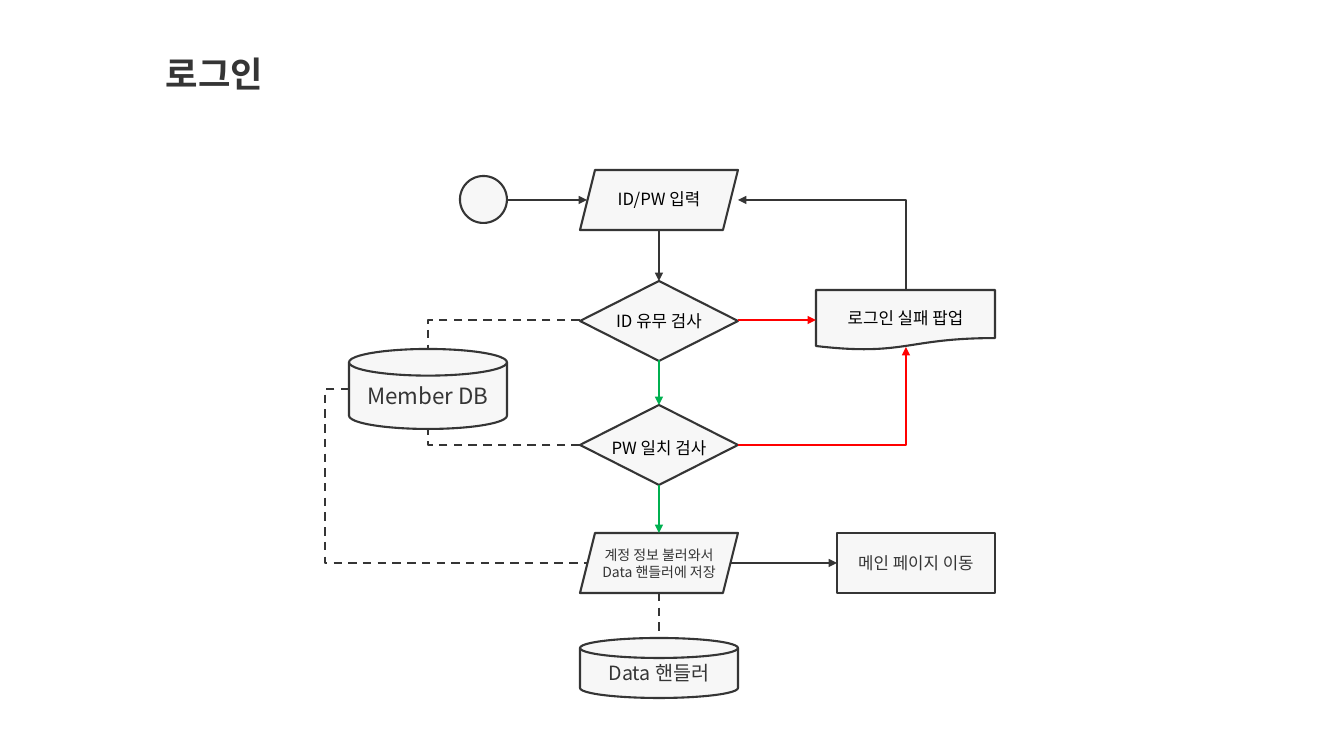
from dataclasses import dataclass

from lxml import etree
from pptx import Presentation
from pptx import util as u
from pptx.dml.color import RGBColor
from pptx.enum import dml, shapes, text
from pptx.oxml.ns import qn

EMU_PER_PX = 914400 / 100.8


@dataclass(frozen=True)
class Theme:
    font: str = "Noto Sans CJK KR"
    ink: str = "353535"
    black: str = "000000"
    panel: str = "F7F7F7"
    failure: str = "FF0000"
    success: str = "00B050"
    title_size: float = 25.2
    database_size: int = 16
    handler_size: int = 14
    step_size: int = 12
    detail_size: int = 10
    line_width: float = 1.5


THEME = Theme()
KIND = shapes.MSO_SHAPE
LEFT, WIDTH, CENTER, RIGHT = 580, 158, 659, 738
POPUP_CENTER, DATABASE_CENTER = 906, 428


def px(*values):
    return [u.Emu(round(value * EMU_PER_PX)) for value in values]


def color(value):
    return RGBColor.from_string(value)


def write(shape, lines, size, ink, align=text.PP_ALIGN.CENTER, bold=False, spacing=None):
    frame = shape.text_frame
    frame.word_wrap = True
    frame.vertical_anchor = text.MSO_ANCHOR.MIDDLE
    for index, line in enumerate(lines):
        paragraph = frame.add_paragraph() if index else frame.paragraphs[0]
        paragraph.alignment = align
        paragraph.line_spacing = spacing
        run = paragraph.add_run()
        run.text = line
        run.font.size = u.Pt(size)
        run.font.bold = bold
        run.font.name = THEME.font
        run.font.color.rgb = color(ink)
        east_asian = etree.SubElement(run.font._element, qn("a:ea"))
        east_asian.set("typeface", THEME.font)


def add_node(slide, kind, box):
    shape = slide.shapes.add_shape(kind, *px(*box))
    shape.shadow.inherit = False
    shape.fill.solid()
    shape.fill.fore_color.rgb = color(THEME.panel)
    shape.line.color.rgb = color(THEME.ink)
    shape.line.width = u.Pt(THEME.line_width)
    return shape


def add_label(slide, box, lines, size, ink, **style):
    label = slide.shapes.add_textbox(*px(*box))
    write(label, lines, size, ink, **style)


def add_link(slide, start, end, ink=THEME.ink, arrow="tailEnd", dashed=False,
             elbow=False):
    kind = shapes.MSO_CONNECTOR.ELBOW if elbow else shapes.MSO_CONNECTOR.STRAIGHT
    link = slide.shapes.add_connector(kind, *px(*start, *end))
    link.line.color.rgb = color(ink)
    link.line.width = u.Pt(THEME.line_width)
    if dashed:
        link.line.dash_style = dml.MSO_LINE.DASH
    else:
        etree.SubElement(link.line._get_or_add_ln(), qn(f"a:{arrow}")).set("type", "triangle")
    etree.SubElement(link._element.spPr, qn("a:effectLst"))
    return link


def add_corner(slide, start, end, **style):
    link = add_link(slide, start, end, elbow=True, **style)
    link._element.spPr.find(qn("a:prstGeom")).set("prst", "bentConnector2")


def add_detour(slide, start, end, bend, **style):
    link = add_link(slide, start, end, elbow=True, **style)
    geometry = link._element.spPr.find(qn("a:prstGeom"))
    adjustments = geometry.find(qn("a:avLst"))
    if adjustments is None:
        adjustments = etree.SubElement(geometry, qn("a:avLst"))
    guide = etree.SubElement(adjustments, qn("a:gd"))
    guide.set("name", "adj1")
    guide.set("fmla", f"val {round(bend * 100000)}")


def add_nodes(slide):
    add_node(slide, KIND.OVAL, (460, 176, 47, 47))
    labelled = [
        (KIND.PARALLELOGRAM, (LEFT, 170, WIDTH, 60), (184, 30),
         ["ID/PW 입력"], THEME.step_size, THEME.black),
        (KIND.DIAMOND, (LEFT, 281, WIDTH, 80), (281, 80),
         ["ID 유무 검사"], THEME.step_size, THEME.black),
        (KIND.FLOWCHART_DOCUMENT, (816, 290, 179, 60), (303, 30),
         ["로그인 실패 팝업"], THEME.step_size, THEME.black),
        (KIND.DIAMOND, (LEFT, 405, WIDTH, 80), (408, 80),
         ["PW 일치 검사"], THEME.step_size, THEME.black),
        (KIND.PARALLELOGRAM, (LEFT, 533, WIDTH, 60), (541, 44),
         ["계정 정보 불러와서", "Data 핸들러에 저장"], THEME.detail_size, THEME.ink),
    ]
    for kind, box, (top, height), lines, size, ink in labelled:
        add_node(slide, kind, box)
        add_label(slide, (box[0], top, box[2], height), lines, size, ink)

    filled = [
        (KIND.FLOWCHART_MAGNETIC_DISK, (349, 349, WIDTH, 80),
         "Member DB", THEME.database_size),
        (KIND.RECTANGLE, (837, 533, WIDTH, 60), "메인 페이지 이동", THEME.step_size),
        (KIND.FLOWCHART_MAGNETIC_DISK, (LEFT, 638, WIDTH, 60),
         "Data 핸들러", THEME.handler_size),
    ]
    for kind, box, caption, size in filled:
        write(add_node(slide, kind, box), [caption], size, THEME.ink)


def add_links(slide):
    add_link(slide, (507, 200), (587, 200))
    add_link(slide, (CENTER, 230), (CENTER, 281))
    add_link(slide, (CENTER, 360), (CENTER, 405), ink=THEME.success)
    add_link(slide, (CENTER, 485), (CENTER, 533), ink=THEME.success)
    add_link(slide, (RIGHT, 320), (816, 320), ink=THEME.failure)
    add_link(slide, (730, 563), (837, 563))
    add_link(slide, (CENTER, 593), (CENTER, 638), dashed=True)
    add_corner(slide, (RIGHT, 200), (POPUP_CENTER, 290), arrow="headEnd")
    add_corner(slide, (RIGHT, 445), (POPUP_CENTER, 347), ink=THEME.failure)
    add_corner(slide, (LEFT, 320), (DATABASE_CENTER, 349), dashed=True)
    add_corner(slide, (LEFT, 445), (DATABASE_CENTER, 429), dashed=True)
    add_detour(slide, (349, 389), (587, 563), -0.1, dashed=True)


def main():
    presentation = Presentation()
    presentation.slide_width, presentation.slide_height = px(1344, 756)
    slide = presentation.slides.add_slide(presentation.slide_layouts[6])
    add_label(slide, (156, 55, 774, 42), ["로그인"], THEME.title_size, THEME.ink,
              align=text.PP_ALIGN.LEFT, bold=True, spacing=0.9)
    add_nodes(slide)
    add_links(slide)
    presentation.save("out.pptx")


if __name__ == "__main__":
    main()
